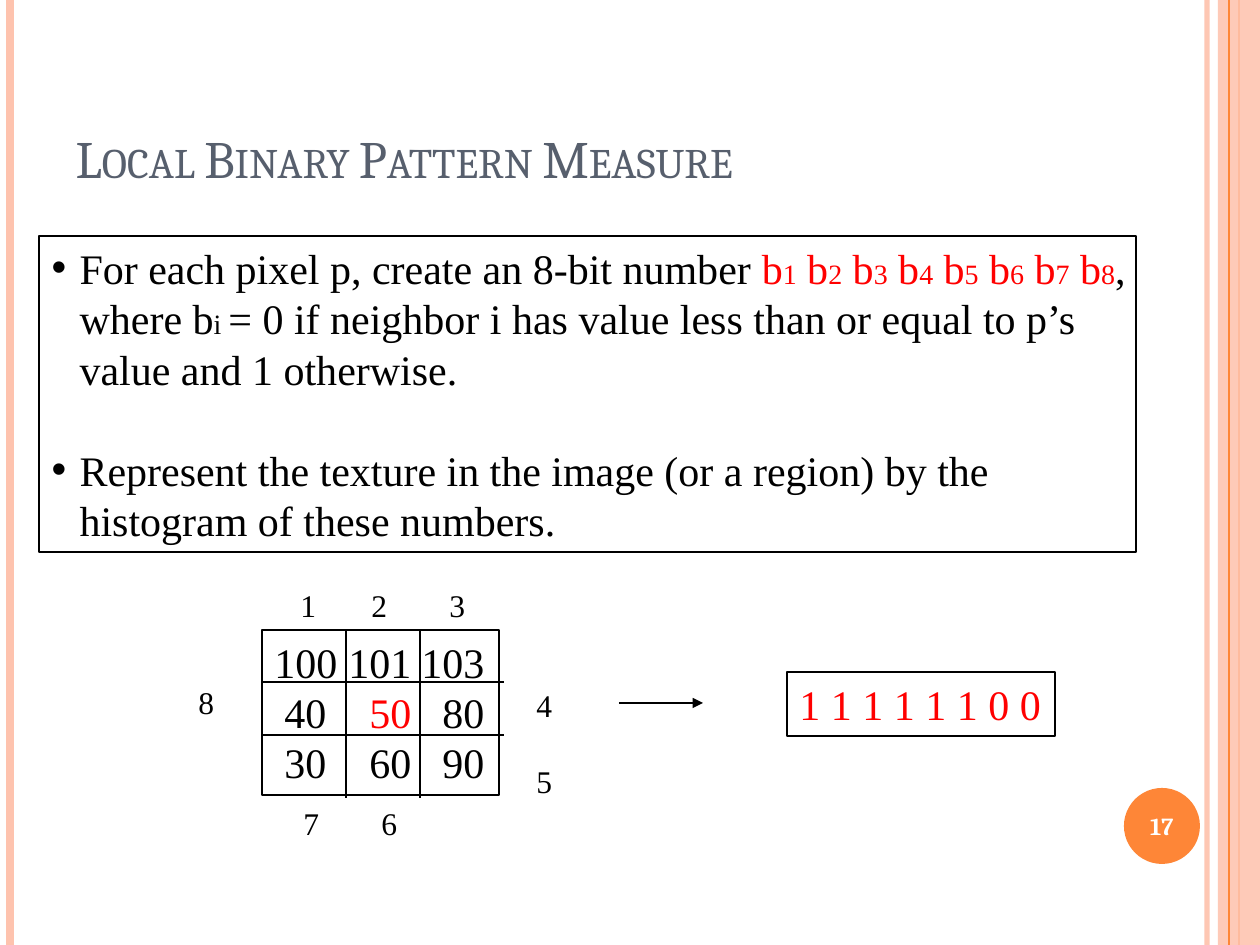
import pptx
import pptx.dml.color
import pptx.enum.shapes
import pptx.enum.text
import pptx.oxml.ns
import pptx.util
from dataclasses import dataclass
from lxml import etree

SHAPE = pptx.enum.shapes.MSO_SHAPE
ANCHOR = pptx.enum.text.MSO_ANCHOR
ALIGN = pptx.enum.text.PP_ALIGN


@dataclass(frozen=True)
class Theme:
    ink: str = "000000"
    accent: str = "FF0000"
    heading: str = "575F6D"
    orange: str = "FE8637"
    peach: str = "FEC3AE"
    white: str = "FFFFFF"
    serif: str = "Times New Roman"
    display: str = "Cambria"
    title: int = 30
    body: int = 24
    label: int = 18
    subscript: int = 16
    number: int = 14
    hairline: float = 0.75


def px(length):
    return pptx.util.Emu(round(length * 914400 / 126))


def rgb(color):
    return pptx.dml.color.RGBColor.from_string(color)


def child(parent, tag, **attributes):
    node = etree.SubElement(parent, pptx.oxml.ns.qn(tag))
    for key, value in attributes.items():
        node.set(key, str(value))
    return node


def set_alpha(fill, percent):
    """Make the solid colour inside a fill or line element translucent."""
    color = next(fill.iter(pptx.oxml.ns.qn("a:srgbClr")))
    child(color, "a:alpha", val=percent * 1000)


class SlideBuilder:
    def __init__(self, slide, theme):
        self.slide = slide
        self.theme = theme

    def style(self, font, size, color, face=None):
        font.name = face or self.theme.serif
        font.size = pptx.util.Pt(size)
        font.color.rgb = rgb(color)

    def place(self, shape, left, top, width, height):
        shape.left, shape.top = px(left), px(top)
        shape.width, shape.height = px(width), px(height)

    def outline(self, shape):
        shape.line.color.rgb = rgb(self.theme.ink)
        shape.line.width = pptx.util.Pt(self.theme.hairline)

    def line(self, x1, y1, x2, y2, color, width, alpha=None, arrow=False):
        connector = self.slide.shapes.add_connector(
            pptx.enum.shapes.MSO_CONNECTOR.STRAIGHT, px(x1), px(y1), px(x2), px(y2))
        connector.line.color.rgb = rgb(color)
        connector.line.width = pptx.util.Pt(width)
        properties = connector._element.spPr
        stroke = properties.find(pptx.oxml.ns.qn("a:ln"))
        if alpha:
            set_alpha(stroke, alpha)
        if arrow:
            child(stroke, "a:tailEnd", type="triangle")
        child(properties, "a:effectLst")

    def shape(self, kind, box, fill=None, alpha=None):
        shape = self.slide.shapes.add_shape(kind, *map(px, box))
        shape.shadow.inherit = False
        if fill:
            shape.fill.solid()
            shape.fill.fore_color.rgb = rgb(fill)
            shape.line.fill.background()
        else:
            shape.fill.background()
            self.outline(shape)
        if alpha:
            set_alpha(shape._element.spPr, alpha)
        return shape

    def text_rows(self, shape, rows, size, color, stops=(), gap=0):
        """Fill a shape with rows of (text, colour) cells set on tab stops."""
        frame = shape.text_frame
        frame.word_wrap = True
        frame.vertical_anchor = ANCHOR.TOP
        frame.margin_right = 0
        for index, row in enumerate(rows):
            paragraph = frame.add_paragraph() if index else frame.paragraphs[0]
            paragraph.alignment = ALIGN.LEFT
            if stops:
                tabs = child(paragraph._p.get_or_add_pPr(), "a:tabLst")
                for position, side in stops[index]:
                    child(tabs, "a:tab", pos=px(position), algn=side)
            if index and gap:
                paragraph.space_before = pptx.util.Pt(gap)
            self.style(paragraph.font, size, color)
            for text, cell_color in row:
                run = paragraph.add_run()
                run.text = "\t" + text if stops else text
                self.style(run.font, size, cell_color)

    def label(self, box, rows, stops=(), gap=0):
        color = self.theme.ink
        cells = [[(text, color) for text in row] for row in rows]
        self.text_rows(self.slide.shapes.add_textbox(*map(px, box)), cells,
                       self.theme.label, color, stops, gap)

    def title(self, box, text):
        title = self.slide.shapes.title
        self.place(title, *box)
        title.text_frame.vertical_anchor = ANCHOR.BOTTOM
        paragraph = title.text_frame.paragraphs[0]
        paragraph.alignment = ALIGN.LEFT
        run = paragraph.add_run()
        run.text = text
        self.style(run.font, self.theme.title, self.theme.heading, self.theme.display)
        run.font._element.set("cap", "small")

    def bullets(self, box, items, gap):
        body = self.slide.placeholders[1]
        self.place(body, *box)
        self.outline(body)
        frame = body.text_frame
        frame.margin_right = 0
        frame.auto_size = pptx.enum.text.MSO_AUTO_SIZE.NONE
        for index, runs in enumerate(items):
            paragraph = frame.add_paragraph() if index else frame.paragraphs[0]
            properties = paragraph._p.get_or_add_pPr()
            properties.set("marL", str(px(28)))
            properties.set("indent", str(-px(28)))
            child(properties, "a:buChar", char="•")
            paragraph.space_before = pptx.util.Pt(gap if index else 0)
            for text, size, color in runs:
                run = paragraph.add_run()
                run.text = text
                self.style(run.font, size, color)

    def page_number(self, box, text):
        badge = self.shape(SHAPE.OVAL, box, self.theme.orange)
        frame = badge.text_frame
        frame.margin_left = frame.margin_right = 0
        frame.vertical_anchor = ANCHOR.MIDDLE
        paragraph = frame.paragraphs[0]
        paragraph.alignment = ALIGN.CENTER
        run = paragraph.add_run()
        run.text = text
        self.style(run.font, self.theme.number, self.theme.white, self.theme.display)
        run.font.bold = True


def main():
    theme = Theme()
    deck = pptx.Presentation()
    deck.slide_width, deck.slide_height = px(1260), px(945)
    builder = SlideBuilder(deck.slides.add_slide(deck.slide_layouts[1]), theme)

    # Side bands
    for x, color, width, alpha in ((1207, theme.peach, 3, 93), (10, theme.peach, 4.5, None),
                                   (1239, theme.orange, 1.5, None)):
        builder.line(x, 0, x, 945, color, width, alpha)
    builder.shape(SHAPE.RECTANGLE, (1218, 0, 42, 945), theme.peach, 87)
    builder.line(1229, 0, 1229, 945, theme.orange, theme.hairline)

    # Title and definition
    builder.title((63, 38, 1029, 157), "Local Binary Pattern Measure")
    bits = []
    for bit in range(1, 9):
        bits += [("b" if bit == 1 else " b", theme.body, theme.accent),
                 (str(bit), theme.subscript, theme.accent)]
    builder.bullets((39, 236, 1097, 316), [
        [("For each pixel p, create an 8-bit number ", theme.body, theme.ink), *bits,
         (", where b", theme.body, theme.ink), ("i ", theme.subscript, theme.ink),
         ("= 0 if neighbor i has value less than or equal to p’s value and 1 otherwise.",
          theme.body, theme.ink)],
        [("Represent the texture in the image (or a region) by the histogram of these numbers.",
          theme.body, theme.ink)],
    ], gap=29)

    # Pixel neighborhood, with the center pixel accented
    pixels = (("100", "101", "103"), ("40", "50", "80"), ("30", "60", "90"))
    rows = [[(value, theme.accent if value == "50" else theme.ink) for value in row]
            for row in pixels]
    stops = [[(first, "r"), (137, "r"), (210, "r")] for first in (63, 52, 52)]
    builder.text_rows(builder.shape(SHAPE.RECTANGLE, (262, 630, 237, 165)), rows,
                      theme.body, theme.ink, stops)
    for x in (346, 420):
        builder.line(x, 630, x, 798, theme.ink, theme.hairline)
    for y in (682, 735):
        builder.line(262, y, 504, y, theme.ink, theme.hairline)

    # Neighbor numbers, clockwise
    builder.label((271, 580, 208, 54), [("1", "2", "3")], [[(17, "l"), (88, "l"), (166, "l")]])
    builder.label((524, 680, 42, 126), [("4",), ("5",)], gap=21.5)
    builder.label((283, 798, 127, 50), [("7", "6")], [[(8, "l"), (86, "l")]])
    builder.label((186, 677, 42, 50), [("8",)])

    # Resulting code
    builder.line(619, 703, 703, 703, theme.ink, theme.hairline, arrow=True)
    builder.text_rows(builder.shape(SHAPE.RECTANGLE, (787, 672, 268, 64)),
                      [[("1 1 1 1 1 1 0 0", theme.accent)]], theme.body, theme.accent)

    builder.page_number((1124, 788, 76, 76), "17")
    deck.save("out.pptx")


if __name__ == "__main__":
    main()
